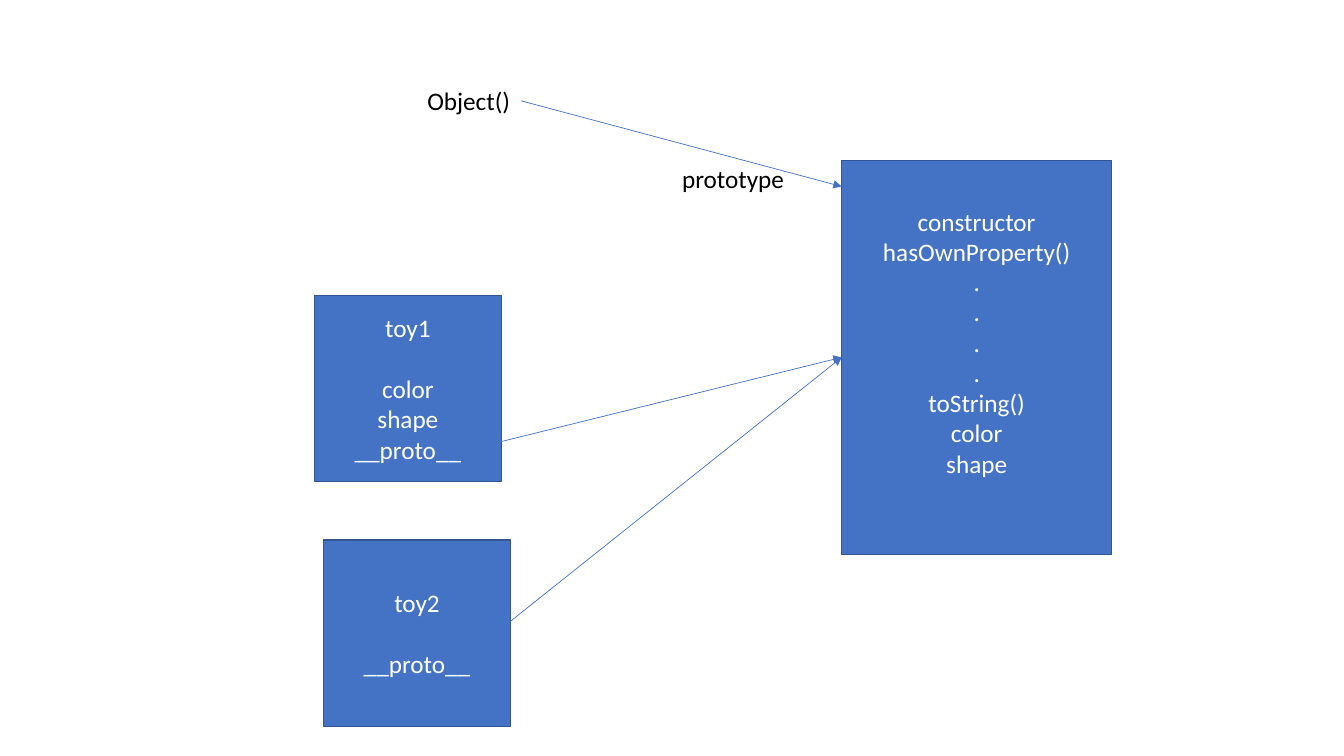
from dataclasses import dataclass

from lxml.etree import SubElement
from pptx import Presentation
from pptx.dml.color import RGBColor
from pptx.enum.shapes import MSO_CONNECTOR, MSO_SHAPE
from pptx.enum.text import MSO_ANCHOR, PP_ALIGN
from pptx.oxml.ns import qn
from pptx.util import Cm, Pt

# Positions in cm: left, top, width, height.
# Each box holds groups of lines, set apart by one line's height.
BOXES = {
    "toy1": ((7.92, 7.44, 4.72, 4.7),
             [["toy1"], ["color", "shape", "__proto__"]]),
    "prototype": ((21.21, 4.04, 6.81, 9.93),
                  [["constructor", "hasOwnProperty()", ".", ".", ".", ".",
                    "toString()", "color", "shape"]]),
    "toy2": ((8.15, 13.61, 4.72, 4.7), [["toy2"], ["__proto__"]]),
}
BOTTOM_INSETS = {"prototype": 0.9}
LABELS = [
    ("Object()", (10.52, 2.03, 2.62, 1.02)),
    ("prototype", (16.94, 3.99, 3.1, 1.02)),
]
CONSTRUCTOR_ARROW = ((13.13, 2.54), (21.21, 4.7))
PROTO_ARROW_STARTS = [(11.81, 11.33), (11.79, 16.51)]
LEFT_SIDE = 1


@dataclass(frozen=True)
class Theme:
    fill: RGBColor = RGBColor(0x44, 0x72, 0xC4)
    border: RGBColor = RGBColor(0x32, 0x54, 0x91)
    light: RGBColor = RGBColor(0xFF, 0xFF, 0xFF)
    dark: RGBColor = RGBColor(0, 0, 0)
    font: str = "Calibri"
    size: Pt = Pt(18)
    line_height: Pt = Pt(22)
    border_width: Pt = Pt(1)
    arrow_width: Pt = Pt(0.5)


THEME = Theme()


def format_text(p, color):
    for r in p.runs:
        r.font.name = THEME.font
        r.font.size = THEME.size
        r.font.color.rgb = color


def add_box(slide, place, groups, bottom_inset):
    sp = slide.shapes.add_shape(MSO_SHAPE.RECTANGLE, *map(Cm, place))
    sp.shadow.inherit = False
    sp.fill.solid()
    sp.fill.fore_color.rgb = THEME.fill
    sp.line.color.rgb = THEME.border
    sp.line.width = THEME.border_width
    tf = sp.text_frame
    tf.word_wrap = True
    tf.vertical_anchor = MSO_ANCHOR.MIDDLE
    tf.margin_bottom = Cm(bottom_inset)
    tf.text = "\n".join(line for group in groups for line in group)
    for p in tf.paragraphs:
        p.alignment = PP_ALIGN.CENTER
        format_text(p, THEME.light)
    first = 0
    for group in groups[:-1]:
        first += len(group)
        tf.paragraphs[first].space_before = THEME.line_height
    return sp


def add_label(slide, text, place):
    tf = slide.shapes.add_textbox(*map(Cm, place)).text_frame
    tf.word_wrap = False
    tf.text = text
    format_text(tf.paragraphs[0], THEME.dark)


def add_arrow(slide, start, end):
    arrow = slide.shapes.add_connector(
        MSO_CONNECTOR.STRAIGHT, *map(Cm, (*start, *end)))
    arrow.line.color.rgb = THEME.fill
    arrow.line.width = THEME.arrow_width
    SubElement(arrow.line._get_or_add_ln(), qn("a:tailEnd"), type="triangle")
    SubElement(arrow._element.spPr, qn("a:effectLst"))
    return arrow


def main():
    prs = Presentation()
    prs.slide_width, prs.slide_height = Cm(33.87), Cm(19.05)
    slide = prs.slides.add_slide(prs.slide_layouts[6])

    boxes = {name: add_box(slide, place, groups, BOTTOM_INSETS.get(name, 0.13))
             for name, (place, groups) in BOXES.items()}
    for text, place in LABELS:
        add_label(slide, text, place)

    add_arrow(slide, *CONSTRUCTOR_ARROW)
    left, top, _, height = BOXES["prototype"][0]
    for start in PROTO_ARROW_STARTS:
        arrow = add_arrow(slide, start, (left, top + height / 2))
        arrow.end_connect(boxes["prototype"], LEFT_SIDE)

    prs.save("out.pptx")


if __name__ == "__main__":
    main()
